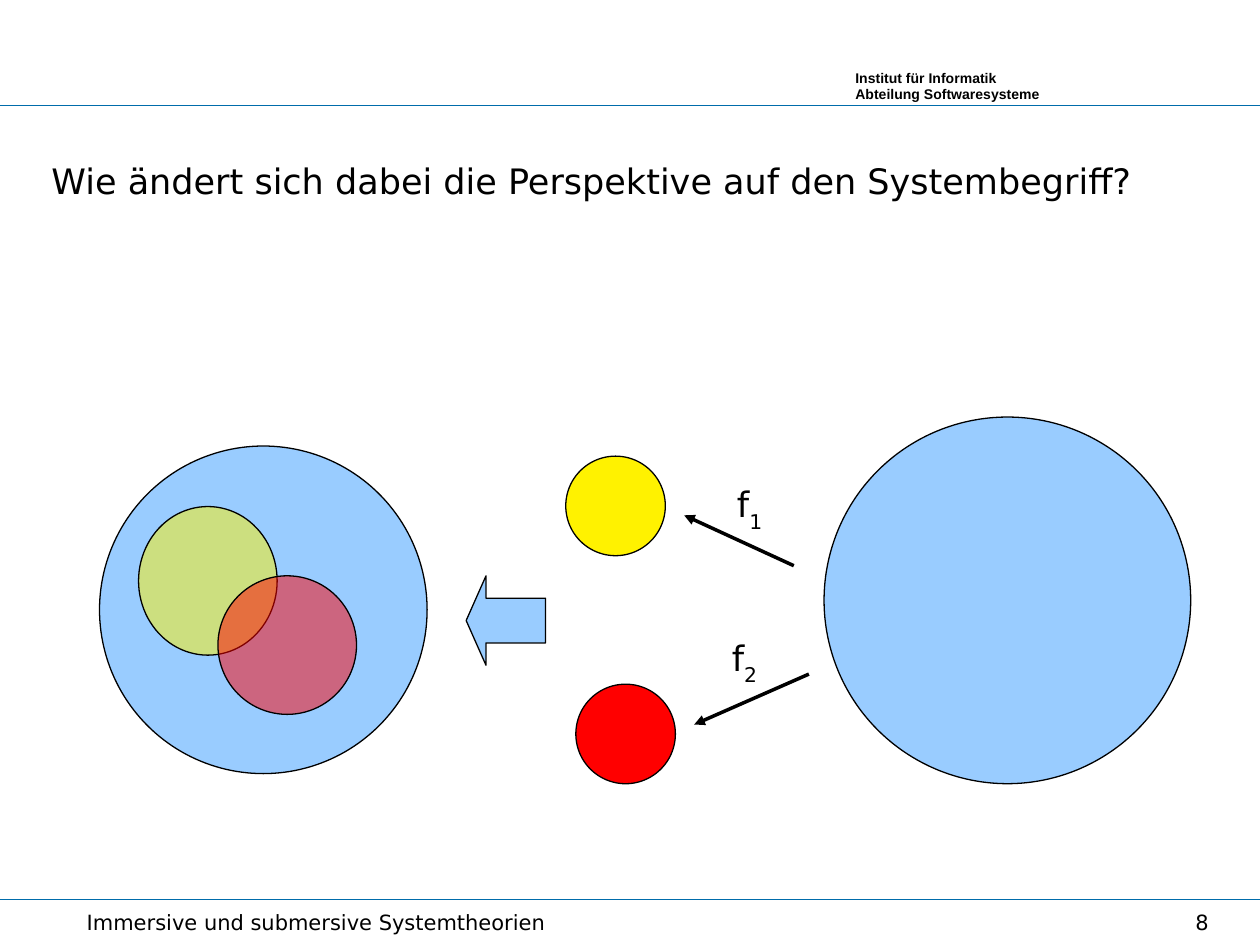
from lxml.etree import SubElement
from pptx import Presentation
from pptx.dml.color import RGBColor
from pptx.enum.shapes import MSO_CONNECTOR, MSO_SHAPE
from pptx.enum.text import MSO_ANCHOR, PP_ALIGN
from pptx.oxml.ns import qn
from pptx.util import Inches, Pt


class Theme:
    ink, rule = "000000", "006CAB"
    blue, yellow, red = "99CCFF", "FFF200", "FF0000"
    sans, head = "DejaVu Sans", "Arial"
    big, foot, small = 20, 12, 8
    hair, thin = 0, 0.5


# Content: text, box, format
TEXTS = [
    ("Institut für Informatik\nAbteilung Softwaresysteme", (6.69, 0.5, 2.63, 0.37),
     dict(size=Theme.small, font=Theme.head, bold=True)),
    ("Wie ändert sich dabei die Perspektive auf den Systembegriff?",
     (0.31, 1.22, 9.45, 1.85), {}),
    ("f", (5.75, 3.78, 0.71, 0.5), dict(sub="1")),
    ("f", (5.71, 5, 0.71, 0.5), dict(sub="2")),
    ("Immersive und submersive Systemtheorien", (0.59, 7.17, 6.73, 0.33),
     dict(size=Theme.foot)),
    ("8", (8.94, 7.17, 0.75, 0.33), dict(size=Theme.foot, align=PP_ALIGN.RIGHT)),
]

# Circles: box, fill, opacity in percent
CIRCLES = [
    ((0.79, 3.54, 2.6, 2.6), Theme.blue, 100),
    ((1.1, 4.02, 1.1, 1.18), Theme.yellow, 50),
    ((1.73, 4.57, 1.1, 1.1), Theme.red, 50),
    ((6.54, 3.31, 2.91, 2.91), Theme.blue, 100),
    ((4.49, 3.62, 0.79, 0.79), Theme.yellow, 100),
    ((4.57, 5.43, 0.79, 0.79), Theme.red, 100),
]
ARROW = (3.7, 4.57, 0.63, 0.71)
RULES = [7.14, 0.84]
MAPS = [((6.42, 5.35), (5.51, 5.75)), ((6.3, 4.49), (5.43, 4.09))]


def color(code):
    return RGBColor.from_string(code)


def scale(nums):
    return [Inches(n) for n in nums]


def add_text(slide, text, box, size=Theme.big, font=Theme.sans, bold=False,
             align=PP_ALIGN.LEFT, sub=None):
    frame = slide.shapes.add_textbox(*scale(box)).text_frame
    frame.word_wrap = True
    frame.vertical_anchor = MSO_ANCHOR.TOP
    para = frame.paragraphs[0]
    para.alignment = align
    para.text = text
    if sub:
        run = para.add_run()
        run.text = sub
        run._r.get_or_add_rPr().set("baseline", "-33000")
    for run in para.runs:
        run.font.size = Pt(size)
        run.font.name = font
        run.font.bold = bold
        run.font.color.rgb = color(Theme.ink)


def add_shape(slide, kind, box, fill, alpha=100):
    shape = slide.shapes.add_shape(kind, *scale(box))
    shape.shadow.inherit = False
    shape.fill.solid()
    shape.fill.fore_color.rgb = color(fill)
    if alpha < 100:
        tint = shape._element.spPr.find(qn("a:solidFill"))[0]
        SubElement(tint, qn("a:alpha"), val=str(alpha * 1000))
    shape.line.color.rgb = color(Theme.ink)
    shape.line.width = Pt(Theme.hair)
    return shape


def add_line(slide, start, end, ink, width, arrow=False):
    line = slide.shapes.add_connector(MSO_CONNECTOR.STRAIGHT, *scale(start + end))
    line.line.color.rgb = color(ink)
    line.line.width = Pt(width)
    if arrow:
        SubElement(line.line._get_or_add_ln(), qn("a:tailEnd"), type="triangle")
    SubElement(line._element.spPr, qn("a:effectLst"))


def main():
    deck = Presentation()
    deck.slide_width, deck.slide_height = scale((10, 7.5))
    slide = deck.slides.add_slide(deck.slide_layouts[6])

    # Header and footer rules
    for y in RULES:
        add_line(slide, (0, y), (10, y), Theme.rule, Theme.thin)

    # Systems and their parts
    for box, fill, alpha in CIRCLES:
        add_shape(slide, MSO_SHAPE.OVAL, box, fill, alpha)

    # Block arrow towards the composed system
    block = add_shape(slide, MSO_SHAPE.LEFT_ARROW, ARROW, Theme.blue)
    block.adjustments[0] = 0.5
    block.adjustments[1] = 0.25

    # Mappings f1 and f2
    for start, end in MAPS:
        add_line(slide, start, end, Theme.ink, Theme.hair, arrow=True)

    # Wording
    for text, box, style in TEXTS:
        add_text(slide, text, box, **style)

    deck.save("out.pptx")


if __name__ == "__main__":
    main()
